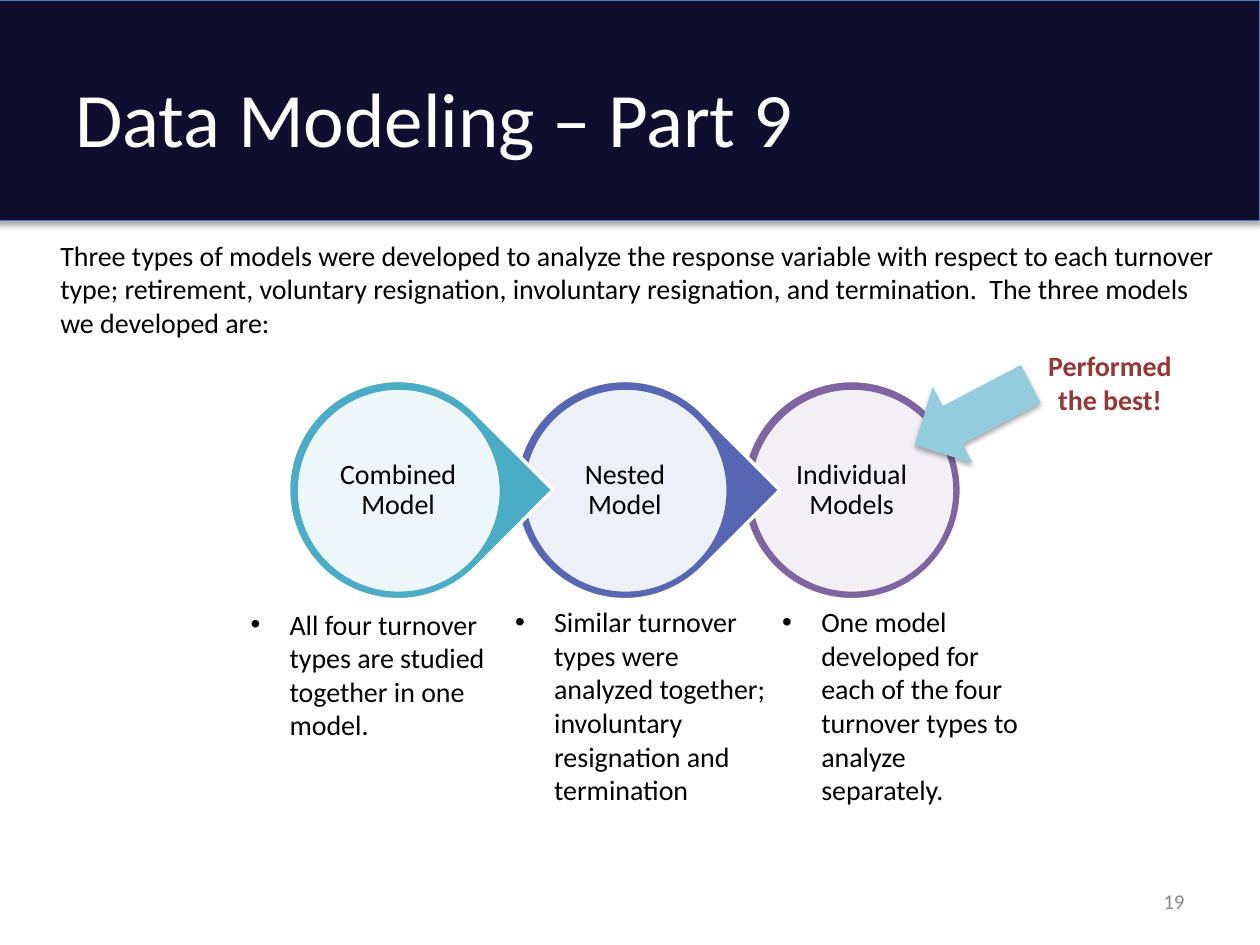
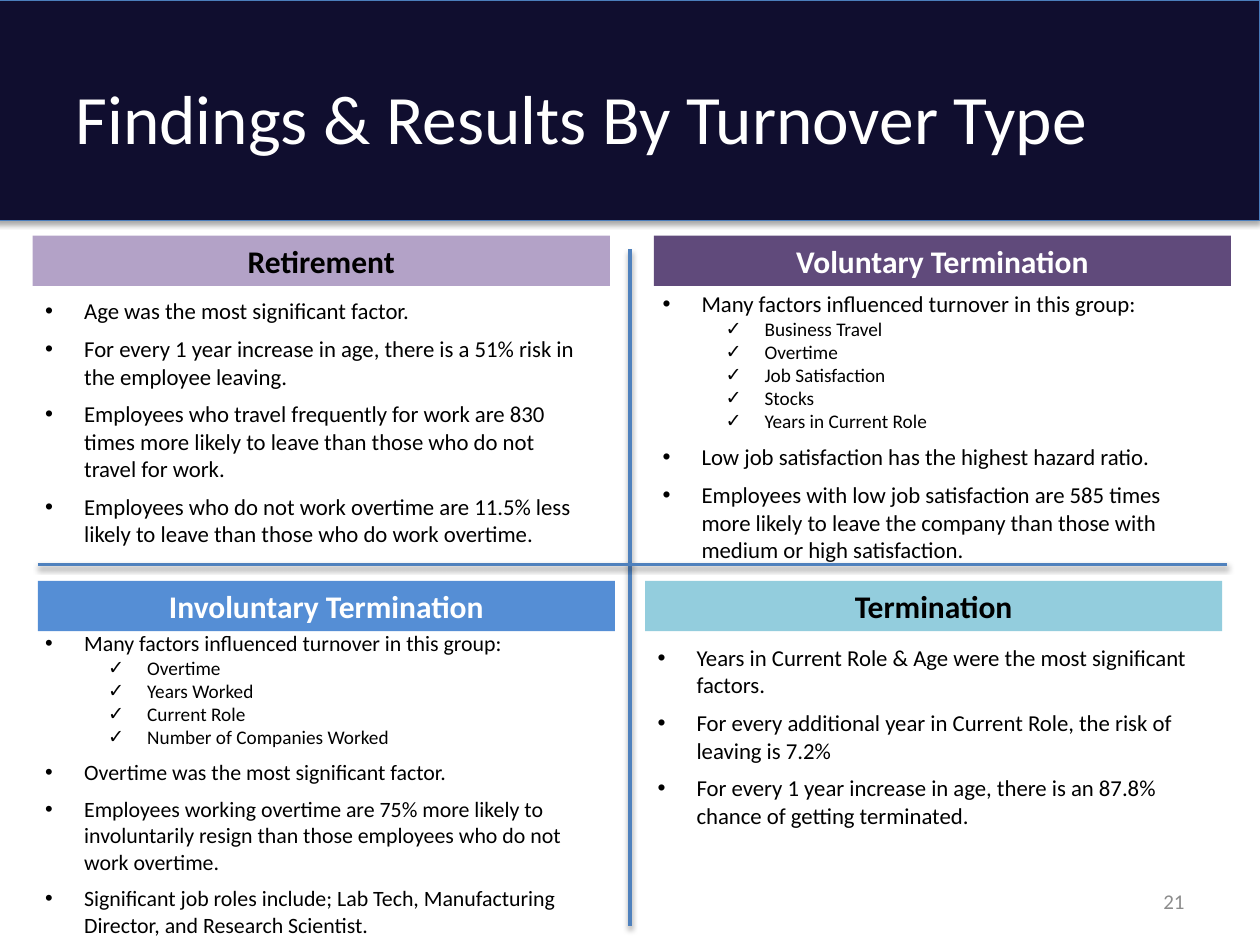
from lxml import etree
from pptx import Presentation
from pptx.dml.color import RGBColor
from pptx.enum.shapes import MSO_CONNECTOR as CONNECTOR, MSO_SHAPE as SHAPE
from pptx.enum.text import MSO_ANCHOR as ANCHOR, PP_ALIGN as ALIGN
from pptx.oxml import parse_xml
from pptx.oxml.ns import nsdecls, qn
from pptx.util import Inches, Pt

FONT = "Calibri"
COLORS = {
    "navy": "100E2F", "band_edge": "4B7EBC", "divider": "4F81BD",
    "white": "FFFFFF", "black": "000000", "gray": "8C8C8C",
    "teal": "4BACC6", "indigo": "5767B4", "purple": "8064A2",
    "aqua": "93CDDD", "red": "953735",
    "lilac": "B3A2C7", "plum": "604A7B", "blue": "558ED5",
}
SHADOW = (
    f'<a:effectLst {nsdecls("a")}><a:outerShdw blurRad="40000" dist="23000" dir="5400000" '
    'rotWithShape="0"><a:srgbClr val="000000"><a:alpha val="35000"/></a:srgbClr>'
    '</a:outerShdw></a:effectLst>'
)


def add_box(slide, kind, box, fill, line=None, width=2, shadow=False):
    shape = slide.shapes.add_shape(kind, *map(Inches, box))
    shape.fill.solid()
    shape.fill.fore_color.rgb = RGBColor.from_string(COLORS[fill])
    if line:
        shape.line.color.rgb = RGBColor.from_string(COLORS[line])
        shape.line.width = Pt(width)
    else:
        shape.line.fill.background()
    if shadow:
        shape._element.spPr.append(parse_xml(SHADOW))
    else:
        shape.shadow.inherit = False
    return shape


def add_text(slide, box, items, size, color="black", align=ALIGN.LEFT, anchor=ANCHOR.TOP,
             bold=False, inset=None, spacing=None):
    """Each item is (text, bullet, space after); check marks form the second level."""
    frame = slide.shapes.add_textbox(*map(Inches, box)).text_frame
    frame.word_wrap = True
    frame.vertical_anchor = anchor
    if inset is not None:
        frame.margin_left = frame.margin_right = Inches(inset)
        frame.margin_top = frame.margin_bottom = Inches(inset)
    for index, (text, bullet, after) in enumerate(items):
        paragraph = frame.paragraphs[0] if index == 0 else frame.add_paragraph()
        paragraph.alignment = align
        paragraph.space_after = Pt(after)
        if spacing:
            paragraph.line_spacing = spacing
        if bullet:
            paragraph.level = 1 if bullet == "✓" else 0
            properties = paragraph._p.get_or_add_pPr()
            properties.set("marL", str(Inches(0.81 if bullet == "✓" else 0.31)))
            properties.set("indent", str(Inches(-0.31)))
            etree.SubElement(properties, qn("a:buFont")).set("typeface", "Arial")
            etree.SubElement(properties, qn("a:buChar")).set("char", bullet)
        run = paragraph.add_run()
        run.text = text
        run.font.name = FONT
        run.font.size = Pt(11 if bullet == "✓" else size)
        run.font.bold = bold
        run.font.color.rgb = RGBColor.from_string(COLORS[color])


presentation = Presentation()
presentation.slide_width = Inches(10)
presentation.slide_height = Inches(7.5)

# Shared band, title and page number
slides = []
for title, title_size, number in (
    ("Data Modeling – Part 9", 44, "19"),
    ("Findings & Results By Turnover Type", 39.6, "21"),
):
    slide = presentation.slides.add_slide(presentation.slide_layouts[6])
    add_box(slide, SHAPE.RECTANGLE, (-0.04, 0, 10.04, 1.75), "navy", "band_edge", 0.75, True)
    add_text(slide, (0.5, 0.3, 9, 1.25), [(title, None, 0)], title_size, "white",
             anchor=ANCHOR.MIDDLE)
    add_text(slide, (7.17, 6.95, 2.33, 0.4), [(number, None, 0)], 12, "gray",
             ALIGN.RIGHT, ANCHOR.MIDDLE)
    slides.append(slide)
models_slide, findings_slide = slides

# Slide 1: introduction
add_text(models_slide, (0.38, 1.84, 9.38, 0.91), [(
    "Three types of models were developed to analyze the response variable with respect to "
    "each turnover type; retirement, voluntary resignation, involuntary resignation, and "
    "termination.  The three models we developed are:", None, 12)], 16)

# Chain of models, laid from right to left so each tip overlaps the next circle
models = [("Combined Model", "teal"), ("Nested Model", "indigo"), ("Individual Models", "purple")]
for index, (name, color) in reversed(list(enumerate(models))):
    left, top = 2.29 + 1.8 * index, 3.02
    is_last = index == len(models) - 1
    outer = add_box(models_slide, SHAPE.OVAL if is_last else SHAPE.TEAR,
                    (left, top, 1.74, 1.74), color, "white")
    if not is_last:
        outer.adjustments[0] = 1
        outer.rotation = 45
    disc = add_box(models_slide, SHAPE.OVAL, (left + 0.06, top + 0.06, 1.63, 1.63),
                   "white", color)
    fill_color = disc._element.spPr.find(".//" + qn("a:srgbClr"))
    etree.SubElement(fill_color, qn("a:alpha")).set("val", "90000")
    add_text(models_slide, (left + 0.29, top + 0.29, 1.16, 1.16), [(name, None, 0)], 16,
             align=ALIGN.CENTER, anchor=ANCHOR.MIDDLE, inset=0.02, spacing=0.9)

# Model descriptions
for box, description in (
    ((1.89, 4.77, 2.11, 1.18), "All four turnover types are studied together in one model."),
    ((3.99, 4.75, 2.33, 1.72), "Similar turnover types were analyzed together; involuntary "
                               "resignation and termination"),
    ((6.11, 4.75, 2.11, 1.72), "One model developed for each of the four turnover types to "
                               "analyze separately."),
):
    add_text(models_slide, box, [(description, "•", 0)], 16)

# Best-model callout
arrow = add_box(models_slide, SHAPE.RIGHT_ARROW, (7.2, 2.95, 1.04, 0.68), "aqua", shadow=True)
arrow.rotation = 152.3
add_text(models_slide, (8.13, 2.72, 1.36, 0.64), [("Performed the best!", None, 0)], 16, "red",
         ALIGN.CENTER, bold=True)

# Slide 2: quadrant dividers
for ends in ((5, 1.98, 5, 7.35), (0.3, 4.48, 9.74, 4.48)):
    divider = findings_slide.shapes.add_connector(CONNECTOR.STRAIGHT, *map(Inches, ends))
    divider.line.color.rgb = RGBColor.from_string(COLORS["divider"])
    divider.line.width = Pt(2)
    divider._element.spPr.append(parse_xml(SHADOW))

# Quadrants: heading, its place and colours, then the findings
quadrants = [
    ("Retirement", (0.26, 1.87), "lilac", "black", (0.26, 2.31, 4.51, 2.1), 13, [
        ("Age was the most significant factor.", "•", 6),
        ("For every 1 year increase in age, there is a 51% risk in the employee leaving.", "•", 6),
        ("Employees who travel frequently for work are 830 times more likely to leave than "
         "those who do not travel for work.", "•", 6),
        ("Employees who do not work overtime are 11.5% less likely to leave than those who do "
         "work overtime.", "•", 6),
    ]),
    ("Voluntary Termination", (5.19, 1.87), "plum", "white", (5.16, 2.25, 4.51, 2.29), 13, [
        ("Many factors influenced turnover in this group:", "•", 0),
        ("Business Travel", "✓", 0),
        ("Overtime", "✓", 0),
        ("Job Satisfaction", "✓", 0),
        ("Stocks", "✓", 0),
        ("Years in Current Role", "✓", 6),
        ("Low job satisfaction has the highest hazard ratio.", "•", 6),
        ("Employees with low job satisfaction are 585 times more likely to leave the company "
         "than those with medium or high satisfaction.", "•", 6),
    ]),
    ("Involuntary Termination", (0.3, 4.61), "blue", "white", (0.26, 4.95, 4.51, 2.63), 12.5, [
        ("Many factors influenced turnover in this group:", "•", 0),
        ("Overtime", "✓", 0),
        ("Years Worked", "✓", 0),
        ("Current Role", "✓", 0),
        ("Number of Companies Worked", "✓", 6),
        ("Overtime was the most significant factor.", "•", 6),
        ("Employees working overtime are 75% more likely to involuntarily resign than those "
         "employees who do not work overtime.", "•", 6),
        ("Significant job roles include; Lab Tech, Manufacturing Director, and Research "
         "Scientist.", "•", 6),
    ]),
    ("Termination", (5.12, 4.61), "aqua", "black", (5.12, 5.06, 4.51, 1.58), 13, [
        ("Years in Current Role & Age were the most significant factors.", "•", 6),
        ("For every additional year in Current Role, the risk of leaving is 7.2%", "•", 6),
        ("For every 1 year increase in age, there is an 87.8% chance of getting terminated.",
         "•", 6),
    ]),
]
for heading, corner, fill, heading_color, findings_box, size, findings in quadrants:
    heading_box = (*corner, 4.58, 0.4)
    add_box(findings_slide, SHAPE.RECTANGLE, heading_box, fill)
    add_text(findings_slide, heading_box, [(heading, None, 0)], 18, heading_color,
             ALIGN.CENTER, bold=True)
    add_text(findings_slide, findings_box, findings, size)

presentation.save("out.pptx")
